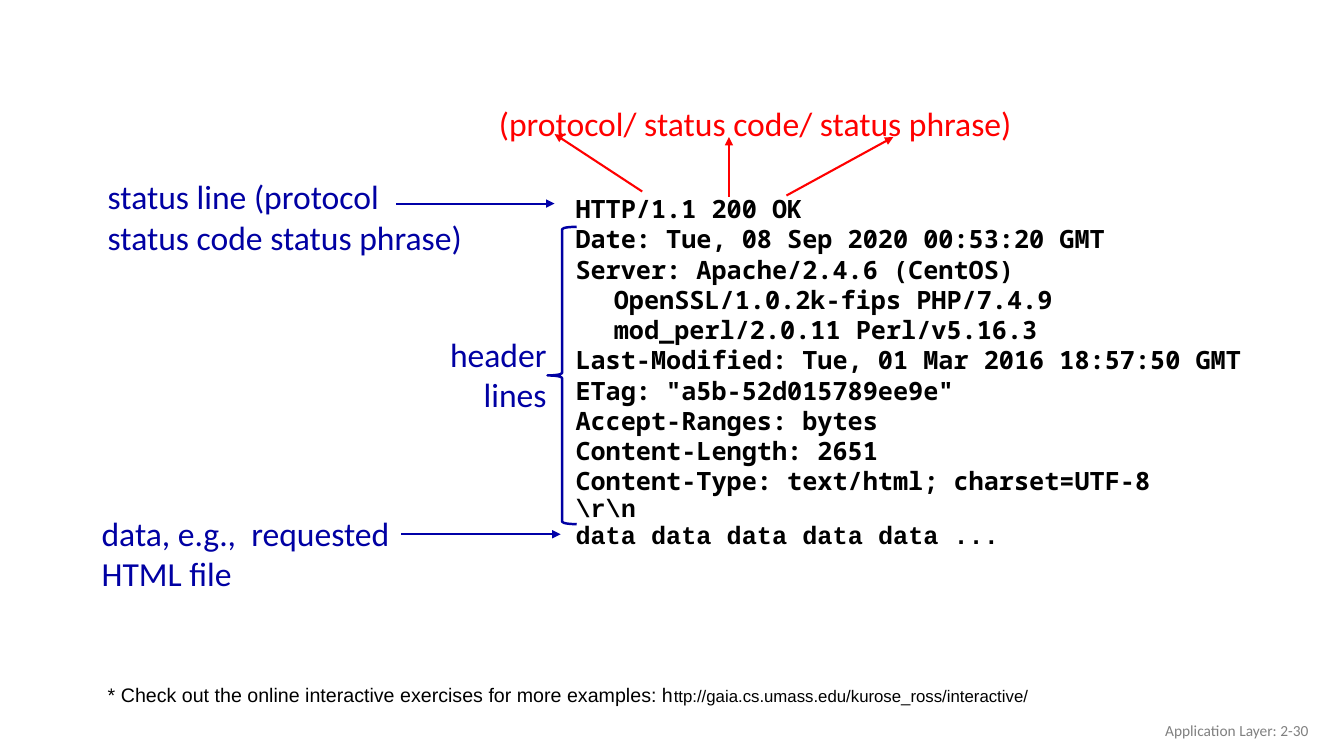
from pptx import Presentation
from pptx.dml.color import RGBColor
from pptx.enum.shapes import MSO_CONNECTOR, MSO_SHAPE
from pptx.enum.text import MSO_ANCHOR, MSO_AUTO_SIZE, PP_ALIGN
from pptx.oxml.ns import qn
from pptx.util import Inches, Pt
from lxml.etree import SubElement

NAVY = RGBColor(0x00, 0x00, 0xA3)
ARROW_BLUE = RGBColor(0x00, 0x00, 0xA8)
RED = RGBColor(0xFF, 0x00, 0x00)
BLACK = RGBColor(0x00, 0x00, 0x00)
GRAY = RGBColor(0x80, 0x80, 0x80)

presentation = Presentation()
presentation.slide_width = Inches(13.33)
presentation.slide_height = Inches(7.5)
slide = presentation.slides.add_slide(presentation.slide_layouts[6])


def add_text(box, lines, font="Calibri", size=24, color=NAVY, bold=False,
             align=PP_ALIGN.LEFT, wrap=True, anchor=MSO_ANCHOR.TOP, grow=True):
    """Add a text box with one paragraph per line and return its text frame."""
    frame = slide.shapes.add_textbox(*map(Inches, box)).text_frame
    frame.word_wrap = wrap
    frame.auto_size = MSO_AUTO_SIZE.SHAPE_TO_FIT_TEXT if grow else MSO_AUTO_SIZE.NONE
    frame.vertical_anchor = anchor
    for index, line in enumerate(lines):
        paragraph = frame.paragraphs[0] if index == 0 else frame.add_paragraph()
        paragraph.alignment = align
        run = paragraph.add_run()
        run.text = line
        run.font.name = font
        run.font.size = Pt(size)
        run.font.bold = bold
        run.font.color.rgb = color
    return frame


# Labels on the left
add_text((0.97, 1.7, 4.44, 0.91), ["status line (protocol", "status code status phrase)"])
add_text((4.35, 3.26, 1.17, 0.91), ["header", "lines"], align=PP_ALIGN.RIGHT, wrap=False)
add_text((0.91, 5.04, 3.94, 0.91), ["data, e.g.,  requested", "HTML file"])

# HTTP response message
response = add_text((5.61, 1.87, 6.9, 3.82), [
    "HTTP/1.1 200 OK",
    "Date: Tue, 08 Sep 2020 00:53:20 GMT",
    "Server: Apache/2.4.6 (CentOS) OpenSSL/1.0.2k-fips PHP/7.4.9 mod_perl/2.0.11 Perl/v5.16.3",
    "Last-Modified: Tue, 01 Mar 2016 18:57:50 GMT",
    'ETag: "a5b-52d015789ee9e"',
    "Accept-Ranges: bytes",
    "Content-Length: 2651",
    "Content-Type: text/html; charset=UTF-8",
    "\\r\\n",
    "data data data data data ...",
], font="Noto Sans Mono", size=18, color=BLACK, bold=True)
for paragraph in response.paragraphs:
    properties = paragraph._p.get_or_add_pPr()
    properties.set("marL", str(Inches(0.38)))
    properties.set("indent", str(Inches(-0.38)))
for paragraph in response.paragraphs[-2:]:
    paragraph.line_spacing = 0.9
    paragraph.runs[0].font.name = "Courier New"

# Brace around the header lines
brace = slide.shapes.add_shape(MSO_SHAPE.LEFT_BRACE, Inches(5.43), Inches(2.25),
                               Inches(0.29), Inches(2.95))
brace.shadow.inherit = False
brace.fill.background()
brace.line.color.rgb = NAVY
brace.line.width = Pt(1.75)

# Parts of the status line
add_text((4.85, 0.97, 5.35, 0.5), ["(protocol/ status code/ status phrase)"], color=RED)

# Arrows
for start_x, start_y, end_x, end_y, color in [
    (3.93, 2.02, 5.5, 2.02, ARROW_BLUE),
    (3.98, 5.3, 5.56, 5.3, ARROW_BLUE),
    (6.37, 1.9, 5.5, 1.33, RED),
    (7.23, 1.95, 7.23, 1.36, RED),
    (7.8, 1.94, 8.86, 1.36, RED),
]:
    arrow = slide.shapes.add_connector(MSO_CONNECTOR.STRAIGHT, Inches(start_x),
                                       Inches(start_y), Inches(end_x), Inches(end_y))
    arrow.line.color.rgb = color
    arrow.line.width = Pt(1.5)
    SubElement(arrow.line._get_or_add_ln(), qn("a:tailEnd"), type="triangle")
    SubElement(arrow._element.spPr, qn("a:effectLst"))

# Footnote and footer
footnote = add_text((0.97, 6.73, 10.41, 0.34), [
    "* Check out the online interactive exercises for more examples: h",
], font="Arial", size=14, color=BLACK)
address = footnote.paragraphs[0].add_run()
address.text = "ttp://gaia.cs.umass.edu/kurose_ross/interactive/"
address.font.name = "Arial"
address.font.size = Pt(12)
address.font.color.rgb = BLACK
add_text((10.08, 7.05, 3, 0.4), ["Application Layer: 2-30"], size=11, color=GRAY,
         align=PP_ALIGN.RIGHT, anchor=MSO_ANCHOR.MIDDLE, grow=False)

presentation.save("out.pptx")
